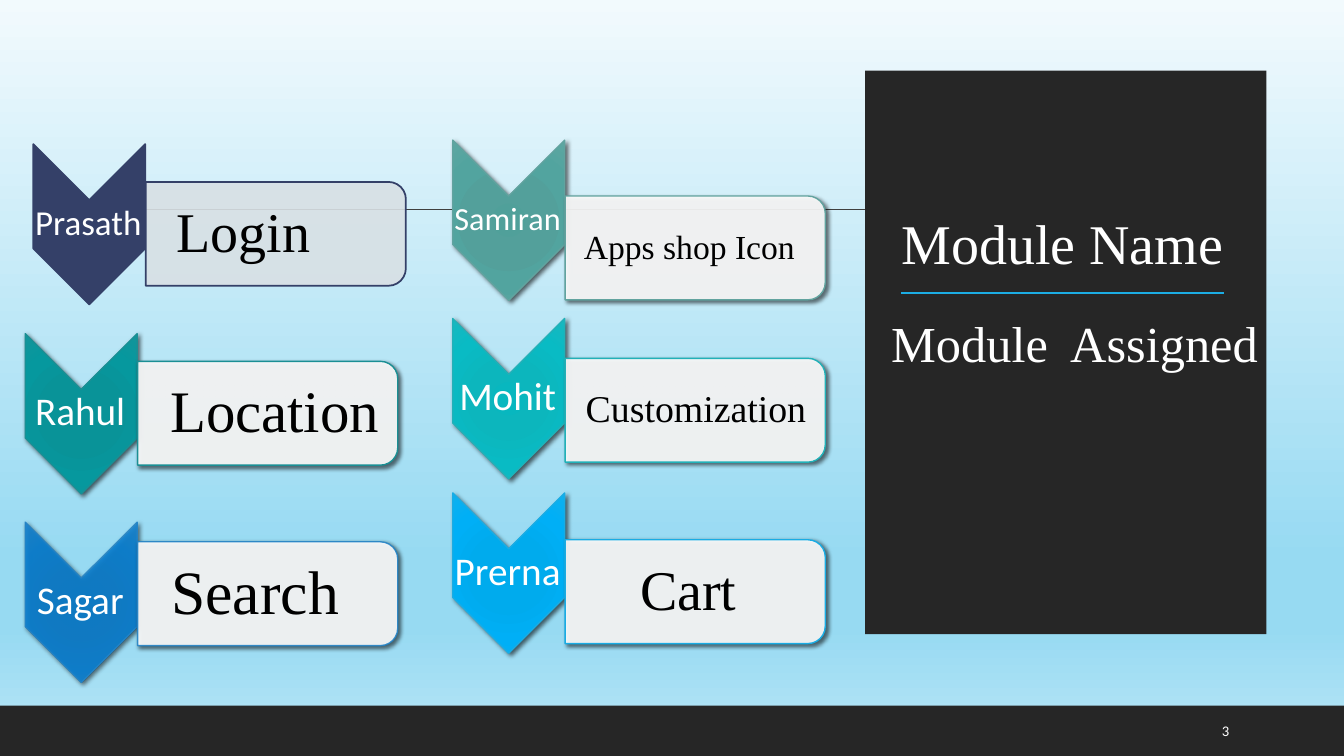
"""Build the slide that shows which module is assigned to each team member."""
from dataclasses import dataclass

from lxml import etree
from pptx import Presentation
from pptx.dml.color import RGBColor
from pptx.enum.shapes import MSO_CONNECTOR as Connector, MSO_SHAPE as Preset
from pptx.enum.text import MSO_ANCHOR as Anchor, PP_ALIGN as Align
from pptx.oxml.ns import qn
from pptx.util import Inches, Pt

WHITE = RGBColor(0xFF, 0xFF, 0xFF)
BLACK = RGBColor(0x00, 0x00, 0x00)
DARK = RGBColor(0x26, 0x26, 0x26)
GREY = RGBColor(0x3F, 0x3F, 0x3F)
ACCENT = RGBColor(0x1C, 0xAD, 0xE4)
NAVY = RGBColor(0x34, 0x40, 0x68)
MIST = RGBColor(0xD8, 0xE0, 0xE5)
SAGE = RGBColor(0x61, 0xA3, 0x9F)
TEAL = RGBColor(0x1A, 0x8F, 0x94)
BLUE = RGBColor(0x23, 0x83, 0xC6)
TURQUOISE = RGBColor(0x21, 0xB1, 0xB8)
SKY = RGBColor(0x19, 0xAC, 0xE4)

SANS, SERIF = "Calibri", "Times New Roman"
BACKGROUND_STOPS = ((0, "F2FAFD"), (74, "97DAF2"), (83, "97DAF2"), (100, "BAE6F6"))
CHEVRON_POSITIONS = (0, 34, 70, 100)
INSETS = (0.1, 0.05, 0.1, 0.05)


@dataclass
class Module:
    member: str
    name: str
    left: float
    top: float
    card_top: float
    line: RGBColor
    shades: tuple = ()
    member_size: float = 28
    name_size: float = 40
    indent: float = 0.33
    card_fill: RGBColor = WHITE
    line_width: float = 1
    opacity: int = 100


MODULES = (
    Module("Samiran", "Apps shop Icon", 4.25, 1.63, 2.0, SAGE,
           ("50A09A", "53A09B", "52A49F", "5DA6A1"), 23, 24, 0.19),
    Module("Prasath", "Login", 0.09, 1.67, 1.86, NAVY, (), 25, 40, 0.31, MIST, 1.25),
    Module("Rahul", "Location", 0.01, 3.55, 3.64, TEAL,
           ("079399", "099398", "06989E", "13949A"), name_size=42),
    Module("Sagar", "Search", 0.01, 5.42, 5.43, BLUE,
           ("097DCD", "0C7DCC", "0980D3", "1A84CE"), name_size=44, indent=0.34, opacity=90),
    Module("Mohit", "Customization", 4.25, 3.4, 3.61, TURQUOISE,
           ("08B7BF", "0CB6BD", "09BBC4", "19B7BF"), name_size=27, indent=0.21),
    Module("Prerna", "Cart", 4.25, 5.13, 5.41, SKY,
           ("00ABEF", "00ABED", "00AFF6", "0EB0EE"), indent=0.75),
)


def add_child(parent, tag: str, **attributes):
    return etree.SubElement(parent, qn(tag), {key: str(value) for key, value in attributes.items()})


def fade(color, percent: int) -> None:
    add_child(color, "a:alpha", val=percent * 1000)


def set_gradient(fill, properties, stops, circular: bool = False) -> None:
    fill.gradient()
    gradient = properties.find(qn("a:gradFill"))
    for child in list(gradient):
        gradient.remove(child)
    stop_list = add_child(gradient, "a:gsLst")
    for position, color in stops:
        stop = add_child(stop_list, "a:gs", pos=position * 1000)
        add_child(stop, "a:srgbClr", val=color)
    if circular:
        shade = add_child(gradient, "a:path", path="circle")
        add_child(shade, "a:fillToRect", l=50000, t=50000, r=50000, b=50000)
    else:
        add_child(gradient, "a:lin", ang=5400000, scaled=0)


def add_shadow(shape, blur: float) -> None:
    effects = shape.element.spPr.find(qn("a:effectLst"))
    shadow = add_child(effects, "a:outerShdw", blurRad=Pt(blur), dist=Pt(2),
                       dir=2700000, algn="ctr", rotWithShape=0)
    fade(add_child(shadow, "a:srgbClr", val="000000"), 60)


def write_text(shape, text: str, *, size: float, font: str, color: RGBColor = WHITE,
               insets=INSETS, align=Align.LEFT, anchor=Anchor.TOP,
               wrap: bool = False, spacing: float = 1.0) -> None:
    frame = shape.text_frame
    frame.word_wrap = wrap
    frame.vertical_anchor = anchor
    (frame.margin_left, frame.margin_top,
     frame.margin_right, frame.margin_bottom) = map(Inches, insets)
    paragraph = frame.paragraphs[0]
    paragraph.alignment = align
    paragraph.line_spacing = spacing
    run = paragraph.add_run()
    run.text = text
    run.font.size = Pt(size)
    run.font.name = font
    run.font.color.rgb = color


def add_text(shapes, text: str, box, **style) -> None:
    write_text(shapes.add_textbox(*map(Inches, box)), text, **style)


def add_block(shapes, preset, box, fill: RGBColor):
    shape = shapes.add_shape(preset, *map(Inches, box))
    shape.shadow.inherit = False
    shape.fill.solid()
    shape.fill.fore_color.rgb = fill
    shape.line.fill.background()
    return shape


def add_rule(shapes, start: float, end: float, top: float, color: RGBColor, width: float) -> None:
    rule = shapes.add_connector(Connector.STRAIGHT, *map(Inches, (start, top, end, top)))
    rule.line.color.rgb = color
    rule.line.width = Pt(width)
    add_child(rule.element.spPr, "a:effectLst")


def outline(shape, module: Module) -> None:
    shape.rotation = 90
    shape.line.color.rgb = module.line
    shape.line.width = Pt(module.line_width)
    if module.opacity < 100:
        for color in shape.element.spPr.xpath("a:ln//a:srgbClr"):
            fade(color, module.opacity)


def add_module(slide, module: Module) -> None:
    shapes = slide.shapes.add_group_shape().shapes
    chevron = add_block(shapes, Preset.CHEVRON, (module.left, module.top, 1.59, 1.11), module.line)
    chevron.adjustments[0] = 0.5
    outline(chevron, module)
    add_text(shapes, module.member, (module.left + 0.23, module.top + 0.31, 1.11, 0.48),
             size=module.member_size, font=SANS, insets=(0.02,) * 4,
             align=Align.CENTER, anchor=Anchor.MIDDLE, wrap=True, spacing=0.9)

    card_left = module.left + 1.35
    card = add_block(shapes, Preset.ROUND_2_SAME_RECTANGLE,
                     (card_left + 0.78, module.card_top - 0.83, 1.03, 2.58), module.card_fill)
    card.adjustments[0], card.adjustments[1] = 0.167, 0
    fade(card.element.spPr.xpath("a:solidFill/a:srgbClr")[0], 90)
    outline(card, module)
    add_text(shapes, module.name, (card_left, module.card_top, 2.53, 0.93),
             size=module.name_size, font=SERIF, color=BLACK,
             insets=(module.indent, 0.03, 0.03, 0.03),
             anchor=Anchor.MIDDLE, wrap=True, spacing=0.9)

    if module.shades:
        properties = chevron.element.spPr
        set_gradient(chevron.fill, properties, zip(CHEVRON_POSITIONS, module.shades), True)
        if module.opacity < 100:
            for color in properties.xpath("a:gradFill//a:srgbClr"):
                fade(color, module.opacity)
        add_shadow(chevron, 3.5)
        add_shadow(card, 3)


def main() -> None:
    presentation = Presentation()
    presentation.slide_width = Inches(13.33)
    presentation.slide_height = Inches(7.5)
    slide = presentation.slides.add_slide(presentation.slide_layouts[5])
    shapes = slide.shapes

    background = slide.background.fill
    background.solid()
    set_gradient(background, slide.element.xpath("p:cSld/p:bg/p:bgPr")[0], BACKGROUND_STOPS)

    add_rule(shapes, 1.31, 12.21, 2.08, GREY, 1)
    add_block(shapes, Preset.RECTANGLE, (0, 7, 13.33, 0.5), DARK)
    add_block(shapes, Preset.RECTANGLE, (8.58, 0.7, 3.98, 5.59), DARK)
    add_rule(shapes, 8.94, 12.14, 2.91, ACCENT, 1.5)
    add_text(shapes, "3", (12.02, 7.05, 0.85, 0.4), size=10.5, font=SANS, anchor=Anchor.MIDDLE)

    for module in MODULES:
        add_module(slide, module)

    title = shapes.title
    shapes.element.append(title.element)
    title.left, title.top, title.width, title.height = map(Inches, (8.84, 2.02, 3.47, 0.77))
    write_text(title, "Module Name", size=40, font=SERIF)
    add_text(shapes, "Module  Assigned", (8.74, 3.05, 3.9, 0.71), size=36, font=SERIF)
    presentation.save("out.pptx")


if __name__ == "__main__":
    main()
